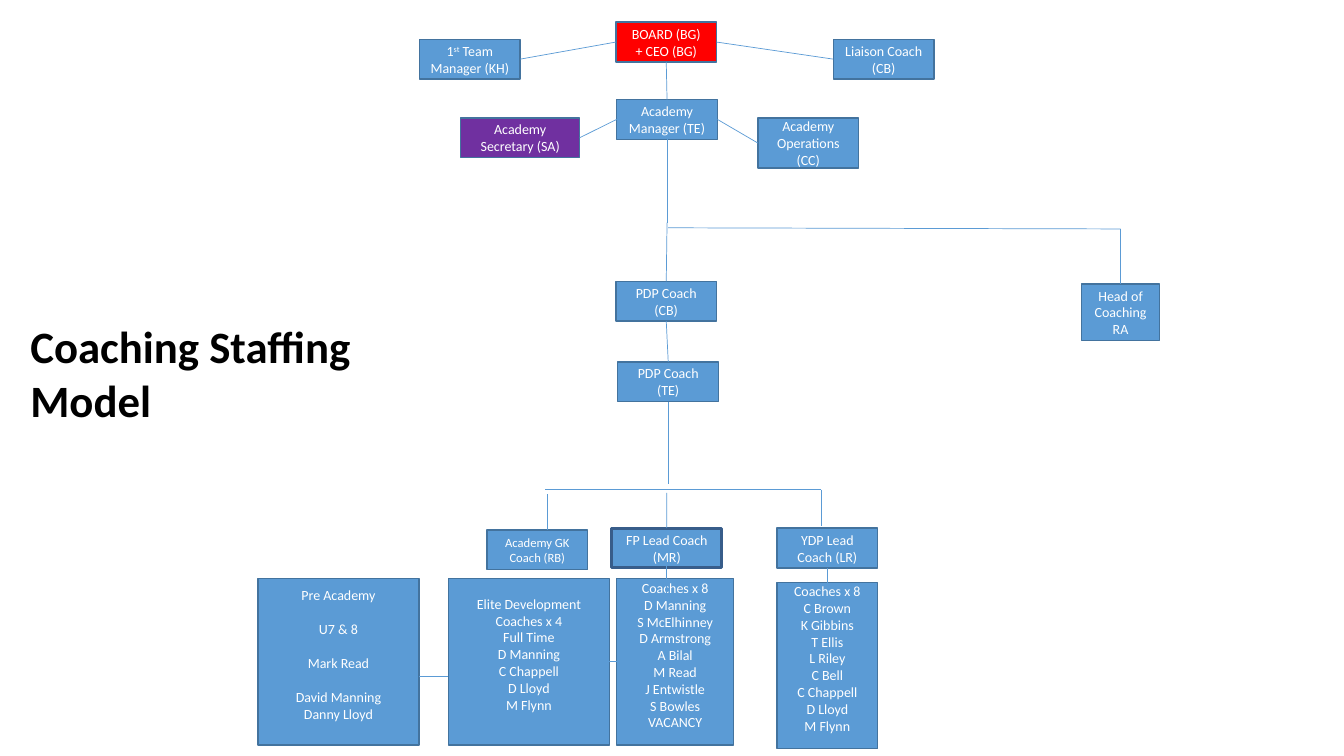
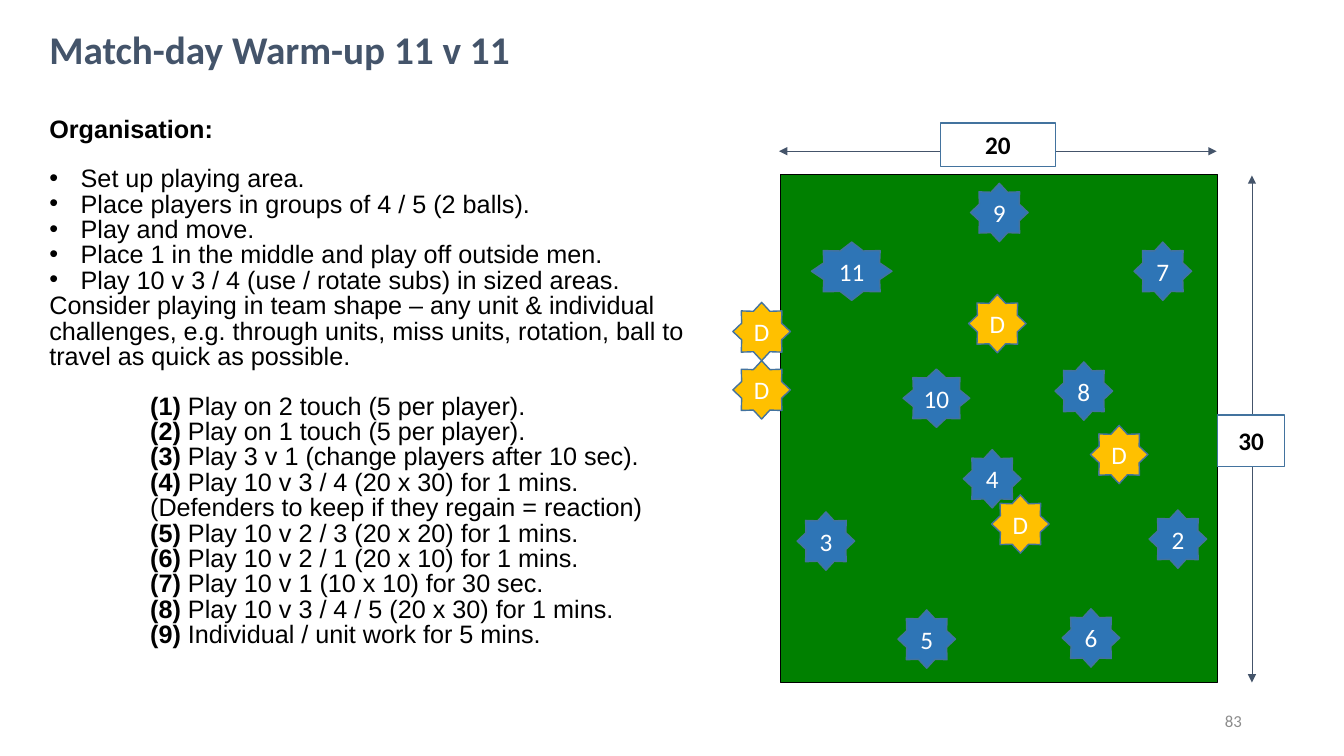
from lxml import etree
from pptx import Presentation
from pptx.dml.color import RGBColor
from pptx.enum import shapes, text
from pptx.oxml import ns
from pptx.util import Cm, Pt

COLORS = {
    "blue": "5B9BD5", "edge": "43739E", "lead edge": "385D8A", "red": "FF0000",
    "purple": "7030A0", "white": "FFFFFF", "black": "000000", "slate": "44546A",
    "grey": "8C8C8C", "grass": "008000", "team": "2E75B6", "defender": "FFC000",
}
ALIGN, ANCHOR = text.PP_ALIGN, text.MSO_ANCHOR
SHAPE = shapes.MSO_SHAPE
TOP, LEFT, BOTTOM, RIGHT = range(4)
LINE_GAP = 12.2  # one line of 10 pt text
BODY_GAP = 17.3  # one line of 18 pt body text

# ---- Staffing model: lengths in cm ----
STAFF_TITLE = "Coaching Staffing Model"
STAFF_BOX = (2.54, 1.0)
# key: (left, top, lines, options)
STAFF = {
    "board": (15.52, 0.56, ["BOARD (BG)", "+ CEO (BG)"], {"fill": "red"}),
    "manager": (15.54, 2.51, ["Academy", "Manager (TE)"], {}),
    "secretary": (11.61, 2.97, ["Academy", "Secretary (SA)"],
                  {"fill": "purple", "size": (3, 1)}),
    "first team": (10.57, 0.99, [[("1", {}), ("st", {"raised": True}), (" Team", {})],
                                 "Manager (KH)"], {}),
    "liaison": (21, 0.99, ["Liaison Coach", "(CB)"], {}),
    "operations": (19.1, 2.97, ["Academy Operations", "(CC)"], {"size": (2.54, 1.27)}),
    "head": (27.25, 7.16, ["Head of Coaching", "RA"], {"size": (1.98, 1.42)}),
    "pdp cb": (15.52, 7.09, ["PDP Coach (CB)"], {}),
    "pdp te": (15.57, 9.12, ["PDP Coach (TE)"], {}),
    "keepers": (12.27, 13.36, ["Academy GK Coach (RB)"], {"points": 9}),
    "fp lead": (15.42, 13.31, ["FP Lead Coach (MR)"],
                {"size": (2.77, 1), "edge": "lead edge", "weight": 2}),
    "ydp lead": (19.58, 13.31, ["YDP Lead Coach (LR)"], {}),
    "pre academy": (6.5, 14.58, ["Pre Academy", "U7 & 8", "Mark Read",
                                 "David Manning", "Danny Lloyd"],
                    {"size": (4.06, 4.19), "inset": 0.2, "gaps": (1, 2, 3)}),
    "elite": (11.3, 14.58, ["Elite Development Coaches x 4", "Full Time", "D Manning",
                            "C Chappell", "D Lloyd", "M Flynn"],
              {"size": (4.06, 4.19), "inset": 0.42}),
    "fp coaches": (15.54, 14.58, ["Coaches x 8", "D Manning", "S McElhinney",
                                  "D Armstrong", "A Bilal", "M Read", "J Entwistle",
                                  "S Bowles", "VACANCY"],
                   {"size": (2.95, 4.19), "inset": 0.02}),
    "ydp coaches": (19.58, 14.68, ["Coaches x 8", "C Brown", "K Gibbins", "T Ellis",
                                   "L Riley", "C Bell", "C Chappell", "D Lloyd",
                                   "M Flynn"],
                    {"size": (2.54, 4.19), "inset": 0}),
}
# each end is (box key, side) or a free point (x, y)
STAFF_LINKS = [
    (("board", LEFT), ("first team", RIGHT)),
    (("board", RIGHT), ("liaison", LEFT)),
    (("board", BOTTOM), ("manager", TOP)),
    (("manager", LEFT), ("secretary", RIGHT)),
    (("manager", RIGHT), ("operations", LEFT)),
    (("manager", BOTTOM), (16.81, 5.61)),
    ((16.81, 5.61), ("pdp cb", TOP)),
    ((16.84, 5.74), (28.24, 5.77)),
    ((28.24, 5.77), ("head", TOP)),
    (("pdp cb", BOTTOM), ("pdp te", TOP)),
    (("pdp te", BOTTOM), (16.84, 12.19)),
    ((13.74, 12.34), (20.7, 12.34)),
    ((13.79, 12.45), (13.79, 13.36)),
    ((16.8, 12.42), ("fp lead", TOP)),
    ((20.7, 12.34), (20.7, 13.26)),
    (("ydp lead", BOTTOM), ("ydp coaches", TOP)),
    (("elite", RIGHT), ("fp coaches", LEFT)),
    ((10.57, 17.04), (11.28, 17.04)),
    ((16.79, 14.12), (16.79, 14.99)),
]

# ---- Warm-up: lengths in cm ----
WARMUP_TITLE = "Match-day Warm-up 11 v 11"
SETUP = [
    "Set up playing area.",
    "Place players in groups of 4 / 5 (2 balls).",
    "Play and move.",
    "Place 1 in the middle and play off outside men.",
    "Play 10 v 3 / 4 (use / rotate subs) in sized areas.",
]
ADVICE = ("Consider playing in team shape – any unit & individual challenges, e.g. "
          "through units, miss units, rotation, ball to travel as quick as possible.")
DRILLS = [
    ("(1)", "Play on 2 touch (5 per player)."),
    ("(2)", "Play on 1 touch (5 per player)."),
    ("(3)", "Play 3 v 1 (change players after 10 sec)."),
    ("(4)", "Play 10 v 3 / 4 (20 x 30) for 1 mins."),
    ("", "(Defenders to keep if they regain = reaction)"),
    ("(5)", "Play 10 v 2 / 3 (20 x 20) for 1 mins."),
    ("(6)", "Play 10 v 2 / 1 (20 x 10) for 1 mins."),
    ("(7)", "Play 10 v 1 (10 x 10) for 30 sec."),
    ("(8)", "Play 10 v 3 / 4 / 5 (20 x 30) for 1 mins."),
    ("(9)", "Individual / unit work for 5 mins."),
]
PITCH = (19.66, 4.39, 11.02, 12.8)
MEASURES = [  # label, label box, arrow start, arrow end
    ("20", (23.7, 3.1, 2.9, 1.09), (19.63, 3.81), (30.66, 3.81)),
    ("30", (30.68, 10.46, 1.7, 1.3), (31.55, 17.2), (31.55, 4.42)),
]
STAR_WIDTH, STAR_HEIGHT = 1.45, 1.47
WIDE_STARS = {"11": 2.03, "10": 1.68}
PLAYERS = [
    ("9", 24.46, 4.62), ("D", 24.41, 7.42), ("7", 28.58, 6.1), ("11", 20.45, 6.1),
    ("8", 26.59, 9.12), ("10", 22.76, 9.3), ("4", 24.28, 11.33), ("D", 24.99, 12.47),
    ("2", 28.96, 12.85), ("6", 26.77, 15.34), ("5", 22.63, 15.37), ("3", 20.09, 12.9),
    ("D", 27.48, 10.72), ("D", 18.47, 9.09), ("D", 18.47, 7.62),
]
PAGE = "83"


def rgb(color):
    return RGBColor.from_string(COLORS[color])


def cms(*lengths):
    return [Cm(length) for length in lengths]


def place(part, box):
    part.left, part.top, part.width, part.height = cms(*box)


def set_bullet(paragraph, bullet, indent, hanging):
    props = paragraph._p.get_or_add_pPr()
    props.set("marL", str(Cm(indent)))
    props.set("indent", str(-Cm(hanging)))
    mark = etree.SubElement(props, ns.qn("a:buChar" if bullet else "a:buNone"))
    if bullet:
        mark.set("char", bullet)


def write(paragraph, content, points=10, color="white", bold=False, font="Calibri",
          align=ALIGN.CENTER, before=0, spacing=1.0):
    """Fill a paragraph with a string or a list of (text, format) runs."""
    paragraph.alignment = align
    paragraph.space_before = Pt(before)
    paragraph.space_after = Pt(0)
    paragraph.line_spacing = spacing
    for words, look in [(content, {})] if isinstance(content, str) else content:
        run = paragraph.add_run()
        run.text = words
        run.font.name = font
        run.font.size = Pt(points)
        run.font.bold = look.get("bold", bold)
        run.font.color.rgb = rgb(color)
        if look.get("raised"):
            run._r.get_or_add_rPr().set("baseline", "30000")


def next_paragraph(frame, index):
    return frame.add_paragraph() if index else frame.paragraphs[0]


def add_block(slide, box, fill, edge="edge", weight=1, kind=SHAPE.RECTANGLE):
    block = slide.shapes.add_shape(kind, *cms(*box))
    block.shadow.inherit = False
    block.fill.solid()
    block.fill.fore_color.rgb = rgb(fill)
    block.line.color.rgb = rgb(edge)
    block.line.width = Pt(weight)
    block.text_frame.word_wrap = True
    block.text_frame.vertical_anchor = ANCHOR.MIDDLE
    return block


def add_line(slide, start, end, color, arrows=False):
    line = slide.shapes.add_connector(shapes.MSO_CONNECTOR.STRAIGHT, *cms(*start, *end))
    line.line.color.rgb = rgb(color)
    line.line.width = Pt(0.5)
    if arrows:
        for tip in ("a:headEnd", "a:tailEnd"):
            etree.SubElement(line.line._get_or_add_ln(), ns.qn(tip)).set("type", "triangle")
    etree.SubElement(line._element.spPr, ns.qn("a:effectLst"))
    return line


def set_frame(part, box, anchor):
    place(part, box)
    frame = part.text_frame
    frame.word_wrap = True
    frame.auto_size = text.MSO_AUTO_SIZE.NONE
    frame.vertical_anchor = anchor
    return frame


def set_title(slide, words, box, points, color, anchor):
    frame = set_frame(slide.shapes.title, box, anchor)
    write(frame.paragraphs[0], words, points=points, color=color, bold=True,
          align=ALIGN.LEFT)


def add_staff_box(slide, left, top, lines, options):
    box = (left, top, *options.get("size", STAFF_BOX))
    block = add_block(slide, box, options.get("fill", "blue"),
                      options.get("edge", "edge"), options.get("weight", 1))
    frame = block.text_frame
    if "inset" in options:
        frame.vertical_anchor = ANCHOR.TOP
        frame.margin_top = Cm(options["inset"])
    for index, line in enumerate(lines):
        write(next_paragraph(frame, index), line, points=options.get("points", 10),
              before=LINE_GAP if index in options.get("gaps", ()) else 0)
    return block


def build_staffing(prs):
    slide = prs.slides.add_slide(prs.slide_layouts[5])
    set_title(slide, STAFF_TITLE, (0.51, 7.9, 11.1, 3), 32, "black", ANCHOR.TOP)
    boxes = {key: add_staff_box(slide, *entry) for key, entry in STAFF.items()}
    for ends in STAFF_LINKS:
        joined = [end[0] in boxes for end in ends]
        points = [(0, 0) if on_box else end for end, on_box in zip(ends, joined)]
        link = add_line(slide, *points, "blue")
        for end, on_box, connect in zip(ends, joined, (link.begin_connect, link.end_connect)):
            if on_box:
                connect(boxes[end[0]], end[1])


def fill_instructions(frame):
    # content, bullet, indent, hanging, space before
    rows = [([("Organisation:", {"bold": True})], None, 0, 0, 0)]
    rows += [(step, "•", 0.79, 0.79, 0 if i else BODY_GAP) for i, step in enumerate(SETUP)]
    rows.append((ADVICE, None, 0, 0, 0))
    for i, (number, drill) in enumerate(DRILLS):
        runs = [(number + " ", {"bold": True})] if number else []
        rows.append((runs + [(drill, {})], None, 2.54, 0, 0 if i else BODY_GAP))
    for i, (content, bullet, indent, hanging, before) in enumerate(rows):
        paragraph = next_paragraph(frame, i)
        set_bullet(paragraph, bullet, indent, hanging)
        write(paragraph, content, points=18, color="black", font="Arial",
              align=ALIGN.LEFT, before=before, spacing=0.84)


def build_warmup(prs):
    slide = prs.slides.add_slide(prs.slide_layouts[1])
    set_title(slide, WARMUP_TITLE, (0.99, 0.42, 22.86, 1.6), 28, "slate", ANCHOR.MIDDLE)
    fill_instructions(set_frame(slide.placeholders[1], (0.99, 2.84, 16.94, 13.8), ANCHOR.TOP))
    add_block(slide, PITCH, "grass", "black", 0.75)
    for label, box, start, end in MEASURES:
        add_line(slide, start, end, "slate", arrows=True)
        measure = add_block(slide, box, "white")
        write(measure.text_frame.paragraphs[0], label, points=18, color="black", bold=True)
    for label, left, top in PLAYERS:
        star = add_block(slide, (left, top, WIDE_STARS.get(label, STAR_WIDTH), STAR_HEIGHT),
                         "defender" if label == "D" else "team", kind=SHAPE.STAR_8_POINT)
        frame = star.text_frame
        frame.margin_left = frame.margin_right = 0
        write(frame.paragraphs[0], label, points=18)
    page = slide.shapes.add_textbox(*cms(0, 0, 1, 1))
    write(set_frame(page, (23.93, 17.65, 7.62, 1.02), ANCHOR.MIDDLE).paragraphs[0], PAGE,
          points=12, color="grey", align=ALIGN.RIGHT)


def main():
    prs = Presentation()
    prs.slide_width, prs.slide_height = cms(33.87, 19.05)
    build_staffing(prs)
    build_warmup(prs)
    prs.save("out.pptx")


if __name__ == "__main__":
    main()
